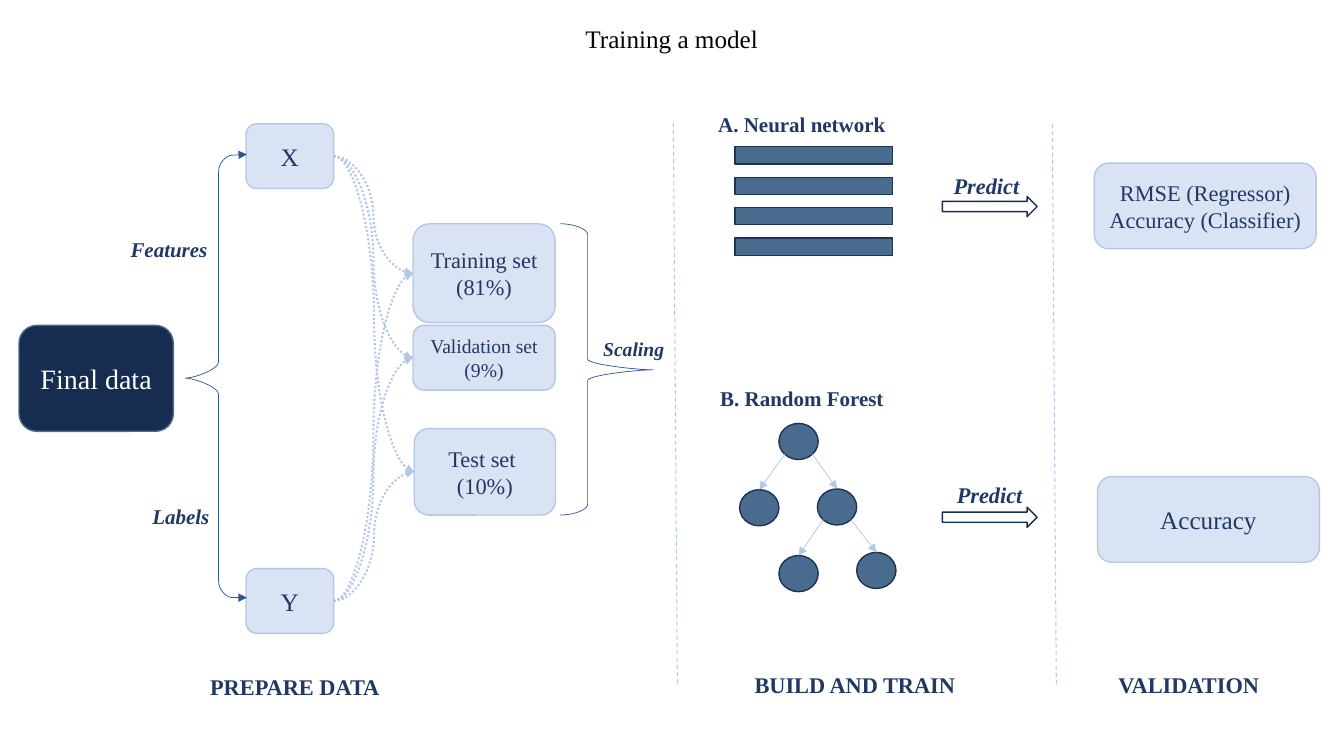
"""Build the slide that shows how a model is trained and validated."""
from lxml import etree
from pptx import Presentation
from pptx import util as u
from pptx.dml.color import RGBColor
from pptx.enum import dml, shapes, text
from pptx.oxml.ns import qn

COLORS = {
    "black": "000000", "white": "FFFFFF", "ink": "203864", "navy": "172C51",
    "steel": "486B8E", "outline": "1E3256", "pale": "DAE3F3", "edge": "B4C7E7",
    "brace": "2F5597",
}
PRESET = shapes.MSO_SHAPE
CONNECTOR = shapes.MSO_CONNECTOR


def write(shape, content, size=16, color="ink", bold=False, italic=False):
    frame = shape.text_frame
    frame.word_wrap = True
    frame.vertical_anchor = text.MSO_ANCHOR.MIDDLE
    frame.text = content
    for paragraph in frame.paragraphs:
        paragraph.alignment = text.PP_ALIGN.CENTER
        for run in paragraph.runs:
            font = run.font
            font.name, font.size = "Times New Roman", u.Pt(size)
            font.bold, font.italic = bold, italic
            font.color.rgb = RGBColor.from_string(COLORS[color])


def link(kind, start, end, color="edge", width=0.5, dash=None, arrow=True):
    connector = slide.shapes.add_connector(kind, *map(u.Cm, start + end))
    connector.line.color.rgb = RGBColor.from_string(COLORS[color])
    connector.line.width = u.Pt(width)
    if dash:
        connector.line.dash_style = dash
    properties = connector._element.spPr
    if arrow:
        etree.SubElement(properties.find(qn("a:ln")), qn("a:tailEnd"), type="triangle")
    etree.SubElement(properties, qn("a:effectLst"))
    return connector


presentation = Presentation()
presentation.slide_width, presentation.slide_height = u.Cm(33.87), u.Cm(19.05)
slide = presentation.slides.add_slide(presentation.slide_layouts[5])

title = slide.shapes.title
title.left, title.top, title.width, title.height = map(u.Cm, (6.96, 0.46, 19.94, 1.02))
write(title, "Training a model", size=18, color="black")

styles = {
    "data": (PRESET.ROUNDED_RECTANGLE, "navy", "steel"),
    "box": (PRESET.ROUNDED_RECTANGLE, "pale", "edge"),
    "layers": (PRESET.MATH_EQUAL, "steel", "outline"),
    "arrow": (PRESET.RIGHT_ARROW, "white", "navy"),
    "node": (PRESET.FLOWCHART_CONNECTOR, "steel", "outline"),
}
nodes = [(19.63, 10.67), (18.64, 12.34), (20.6, 12.32), (19.63, 14), (21.59, 13.92)]
node_width, node_height = 0.99, 0.91
items = [
    ("data", 0.48, 8.2, 3.89, 2.67, "Final data", 20),
    ("box", 6.2, 3.12, 2.21, 1.63, "X", 18),
    ("box", 6.2, 14.33, 2.21, 1.63, "Y", 18),
    ("box", 10.41, 5.64, 3.58, 2.49, "Training set\n(81%)", 16),
    ("box", 10.41, 8.2, 3.58, 1.63, "Validation set (9%)", 14),
    ("box", 10.44, 10.8, 3.56, 2.18, "Test set \n(10%)", 16),
    ("box", 27.58, 4.11, 5.59, 2.16, "RMSE (Regressor)\vAccuracy (Classifier)", 16),
    ("box", 27.66, 12.01, 5.59, 2.16, "Accuracy", 18),
    ("layers", 17.81, 3.4, 5.4, 1.8, "", 16),
    ("layers", 17.81, 4.93, 5.4, 1.8, "", 16),
    ("arrow", 23.75, 4.95, 2.39, 0.51, "", 16),
    ("arrow", 23.75, 12.78, 2.39, 0.51, "", 16),
]
items += [("node", left, top, node_width, node_height, "", 16) for left, top in nodes]
boxes = {}
for style, left, top, width, height, content, size in items:
    preset, fill, line = styles[style]
    shape = slide.shapes.add_shape(preset, *map(u.Cm, (left, top, width, height)))
    shape.shadow.inherit = False
    shape.fill.solid()
    shape.fill.fore_color.rgb = RGBColor.from_string(COLORS[fill])
    shape.line.color.rgb = RGBColor.from_string(COLORS[line])
    shape.line.width = u.Pt(1)
    if style == "layers":
        shape.adjustments[0], shape.adjustments[1] = 0.24, 0.19
    if content:
        write(shape, content, size=size, color="white" if style == "data" else "ink")
        boxes[content.split()[0]] = shape

for source in ("X", "Y"):
    for target in ("Training", "Validation", "Test"):
        curve = link(CONNECTOR.CURVE, (8.41, 4), (10.41, 7), width=1.5,
                     dash=dml.MSO_LINE.ROUND_DOT)
        curve.begin_connect(boxes[source], 3)
        curve.end_connect(boxes[target], 1)

for parent, child, side in ((0, 1, -1), (0, 2, 1), (2, 3, -1), (2, 4, 1)):
    start = (nodes[parent][0] + node_width * (0.5 + 0.35 * side),
             nodes[parent][1] + node_height * 0.85)
    end = (nodes[child][0] + node_width / 2, nodes[child][1])
    link(CONNECTOR.STRAIGHT, start, end)

for start, end in (((5.87, 3.91), (6.22, 3.89)), ((5.87, 15.06), (6.22, 15.06))):
    link(CONNECTOR.STRAIGHT, start, end, color="brace")

for start, end in (((16.97, 3.1), (17.07, 17.25)), ((26.52, 3.12), (26.62, 17.27))):
    link(CONNECTOR.STRAIGHT, start, end, width=0.75, dash=dml.MSO_LINE.DASH, arrow=False)

braces = [
    (5.87, 5.51, 4.67, 3.91, 9.53, 15.06, 0.42),
    (14.12, 14.81, 16.46, 5.64, 9.32, 12.98, 0.27),
]
for outer, spine, tip, top, middle, bottom, radius in braces:
    shoulder, near_tip = (outer + spine) / 2, tip + (spine - tip) / 4
    half = radius / 2
    curves = [
        ((outer, bottom), (shoulder, bottom), (spine, bottom - half), (spine, bottom - radius)),
        ((spine, middle + radius), (spine, middle + half), (near_tip, middle), (tip, middle)),
        ((tip, middle), (near_tip, middle), (spine, middle - half), (spine, middle - radius)),
        ((spine, top + radius), (spine, top + half), (shoulder, top), (outer, top)),
    ]
    points = []
    for curve in curves:
        for step in range(13):
            t = step / 12
            weights = ((1 - t) ** 3, 3 * t * (1 - t) ** 2, 3 * t ** 2 * (1 - t), t ** 3)
            points.append(tuple(
                u.Cm(sum(weight * point[axis] for weight, point in zip(weights, curve)))
                for axis in (0, 1)))
    builder = slide.shapes.build_freeform(*points[0])
    builder.add_line_segments(points[1:], close=False)
    brace = builder.convert_to_shape()
    brace.shadow.inherit = False
    brace.fill.background()
    brace.line.color.rgb = RGBColor.from_string(COLORS["brace"])
    brace.line.width = u.Pt(0.5)

labels = [
    ("Features", 1.68, 5.82, 5.16, 15, True),
    ("Labels", 1.98, 12.55, 5.16, 15, True),
    ("Scaling", 13.39, 8.33, 5.16, 14, True),
    ("A. Neural network", 17.63, 2.67, 5.16, 15, False),
    ("B. Random Forest", 17.63, 9.58, 5.16, 15, False),
    ("Predict", 22.17, 4.22, 5.38, 16, True),
    ("Predict", 22.25, 12.01, 5.38, 16, True),
    ("PREPARE DATA", 4.85, 16.84, 5.16, 16, False),
    ("BUILD AND TRAIN", 18.52, 16.81, 6.05, 16, False),
    ("VALIDATION", 27.38, 16.81, 5.16, 16, False),
]
for content, left, top, width, size, italic in labels:
    label = slide.shapes.add_textbox(*map(u.Cm, (left, top, width, 0.9)))
    write(label, content, size=size, bold=True, italic=italic)

presentation.save("out.pptx")
